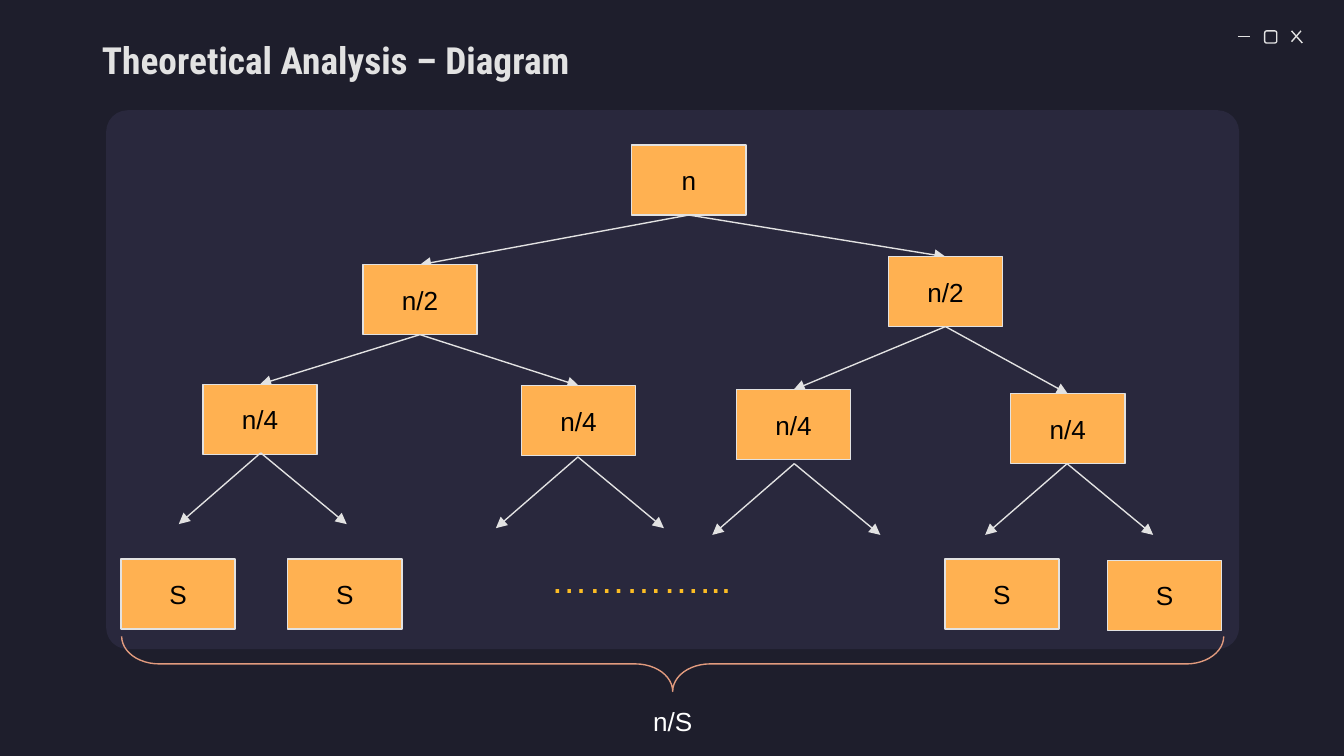
"""Build a slide showing a recursion tree that splits n items into n/S runs."""
from typing import NamedTuple

from lxml import etree
from pptx import Presentation
from pptx.dml.color import RGBColor
from pptx.enum.shapes import MSO_CONNECTOR, MSO_SHAPE
from pptx.enum.text import MSO_ANCHOR, PP_ALIGN
from pptx.oxml.ns import qn
from pptx.util import Inches, Pt

RECT = MSO_SHAPE.RECTANGLE
ROUND = MSO_SHAPE.ROUNDED_RECTANGLE
BRACE = MSO_SHAPE.RIGHT_BRACE
LINE = MSO_CONNECTOR.STRAIGHT
MIDDLE, TOP = MSO_ANCHOR.MIDDLE, MSO_ANCHOR.TOP
CENTER, LEFT = PP_ALIGN.CENTER, PP_ALIGN.LEFT

NIGHT = RGBColor(0x1E, 0x1E, 0x2C)
PANEL = RGBColor(0x29, 0x28, 0x3D)
PALE = RGBColor(0xE2, 0xE2, 0xE2)
ORANGE = RGBColor(0xFF, 0xB1, 0x51)
GOLD = RGBColor(0xFC, 0xBD, 0x24)
CORAL = RGBColor(0xE2, 0x9B, 0x7E)
BLACK = RGBColor(0, 0, 0)
WHITE = RGBColor(0xFF, 0xFF, 0xFF)

WIDTH = 10
HEIGHT = WIDTH * 9 / 16
BOX_W, BOX_H = 0.85, 0.52


class Area(NamedTuple):
    left: float
    top: float
    width: float
    height: float


class Point(NamedTuple):
    x: float
    y: float


class Node(NamedTuple):
    label: str
    left: float
    top: float

    def head(self) -> Point:
        return Point(self.left + BOX_W / 2, self.top)

    def foot(self) -> Point:
        return Point(self.left + BOX_W / 2, self.top + BOX_H)


class Style(NamedTuple):
    size: int
    color: RGBColor
    font: str = "Arial"
    bold: bool = False
    align: PP_ALIGN = CENTER
    anchor: MSO_ANCHOR = MIDDLE
    inset: float = 0.1


TITLE = Style(20, PALE, "Roboto Condensed", True, LEFT, TOP, 0)
LABEL = Style(14, BLACK)
TOTAL = Style(14, WHITE)
DOTS = Style(20, GOLD, anchor=TOP)

TREE = [
    Node("n", 4.7, 1.08),
    Node("n/2", 2.7, 1.97),
    Node("n/2", 6.61, 1.91),
    Node("n/4", 1.51, 2.86),
    Node("n/4", 3.88, 2.87),
    Node("n/4", 5.48, 2.9),
    Node("n/4", 7.52, 2.93),
]
LEAVES = [
    Node("S", 0.9, 4.16),
    Node("S", 2.14, 4.16),
    Node("S", 7.03, 4.16),
    Node("S", 8.24, 4.17),
]
FORKS = [Point(1.94, 3.37), Point(4.3, 3.4), Point(5.91, 3.45), Point(7.94, 3.45)]
SPREAD = (-0.61, 0.64)
DROP = 0.53
ICON = [
    (Point(9.21, 0.27), Point(9.3, 0.27)),
    (Point(9.61, 0.23), Point(9.69, 0.32)),
    (Point(9.68, 0.23), Point(9.61, 0.31)),
]


def write(frame, text: str, style: Style) -> None:
    frame.word_wrap = True
    frame.vertical_anchor = style.anchor
    frame.margin_left = frame.margin_right = Inches(0.1)
    frame.margin_top = frame.margin_bottom = Inches(style.inset)
    para = frame.paragraphs[0]
    para.alignment = style.align
    run = para.add_run()
    run.text = text
    run.font.name = style.font
    run.font.size = Pt(style.size)
    run.font.bold = style.bold
    run.font.color.rgb = style.color


def add_text(slide, area: Area, text: str, style: Style) -> None:
    box = slide.shapes.add_textbox(*map(Inches, area))
    write(box.text_frame, text, style)


def add_shape(slide, kind: MSO_SHAPE, area: Area, fill=None, line=None):
    shape = slide.shapes.add_shape(kind, *map(Inches, area))
    shape.shadow.inherit = False
    if fill is None:
        shape.fill.background()
    else:
        shape.fill.solid()
        shape.fill.fore_color.rgb = fill
    if line is None:
        shape.line.fill.background()
    else:
        shape.line.color.rgb = line
        shape.line.width = Pt(0.75)
    return shape


def add_line(slide, start: Point, end: Point, arrow: bool = True) -> None:
    line = slide.shapes.add_connector(LINE, *map(Inches, start + end))
    line.line.color.rgb = PALE
    line.line.width = Pt(0.75)
    props = line.element.spPr
    if arrow:
        etree.SubElement(props.find(qn("a:ln")), qn("a:tailEnd"), type="triangle")
    etree.SubElement(props, qn("a:effectLst"))


def add_node(slide, node: Node) -> None:
    area = Area(node.left, node.top, BOX_W, BOX_H)
    shape = add_shape(slide, RECT, area, ORANGE, PALE)
    write(shape.text_frame, node.label, LABEL)


def add_frame(slide) -> None:
    panel = add_shape(slide, ROUND, Area(0.79, 0.82, 8.43, 4.01), PANEL)
    panel.adjustments[0] = 0.04
    add_shape(slide, ROUND, Area(9.41, 0.23, 0.09, 0.09), line=PALE)
    for start, end in ICON:
        add_line(slide, start, end, arrow=False)
    add_text(slide, Area(0.66, 0.28, 7.88, 0.63), "Theoretical Analysis – Diagram", TITLE)


def add_tree(slide) -> None:
    for rank, child in enumerate(TREE[1:]):
        add_line(slide, TREE[rank // 2].foot(), child.head())
    for node in TREE + LEAVES:
        add_node(slide, node)
    for fork in FORKS:
        for shift in SPREAD:
            add_line(slide, fork, Point(fork.x + shift, fork.y + DROP))


def add_total(slide) -> None:
    add_text(slide, Area(3.88, 4.04, 1.78, 0.54), "…………...", DOTS)
    brace = add_shape(slide, BRACE, Area(4.8, 0.84, 0.41, 8.2), line=CORAL)
    brace.rotation = 90
    brace.adjustments[0] = 0.68
    add_text(slide, Area(4.58, 5.22, 0.85, 0.29), "n/S", TOTAL)


def main() -> None:
    deck = Presentation()
    deck.slide_width, deck.slide_height = Inches(WIDTH), Inches(HEIGHT)
    slide = deck.slides.add_slide(deck.slide_layouts[6])
    slide.background.fill.solid()
    slide.background.fill.fore_color.rgb = NIGHT
    add_frame(slide)
    add_tree(slide)
    add_total(slide)
    deck.save("out.pptx")


if __name__ == "__main__":
    main()
